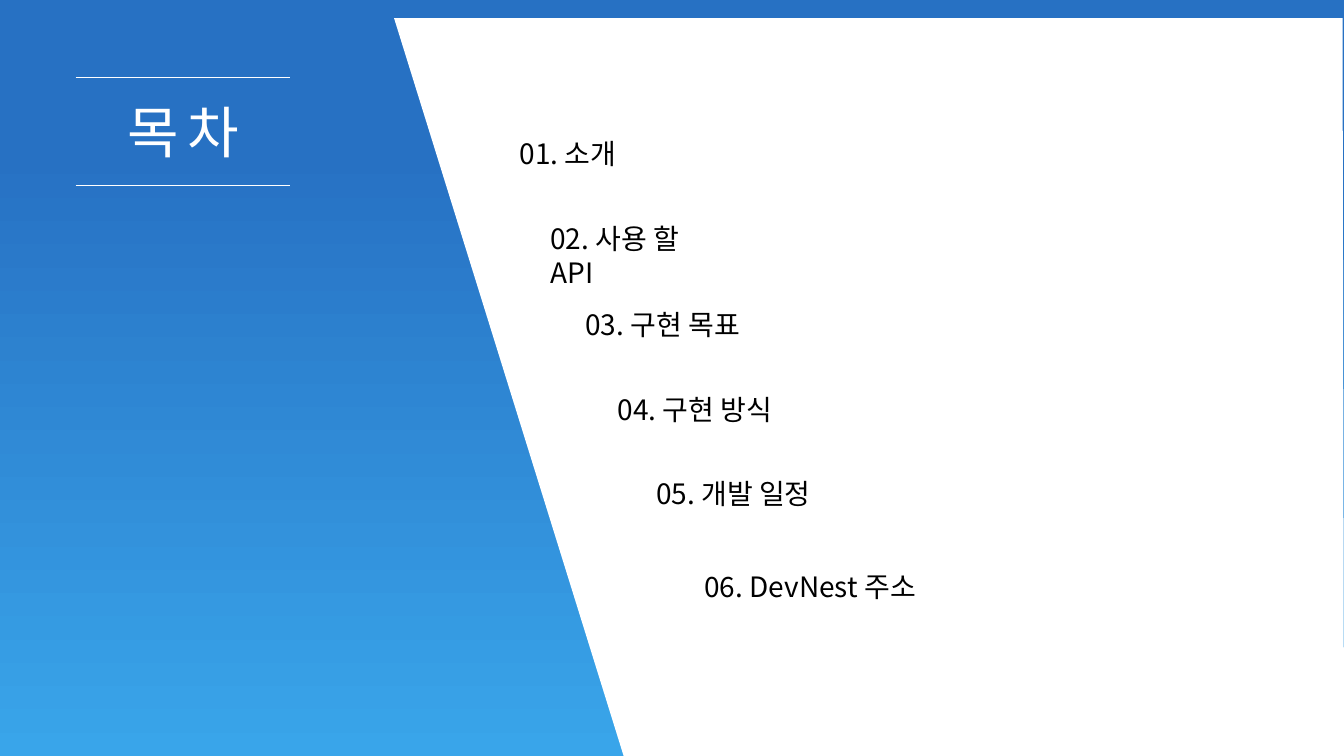
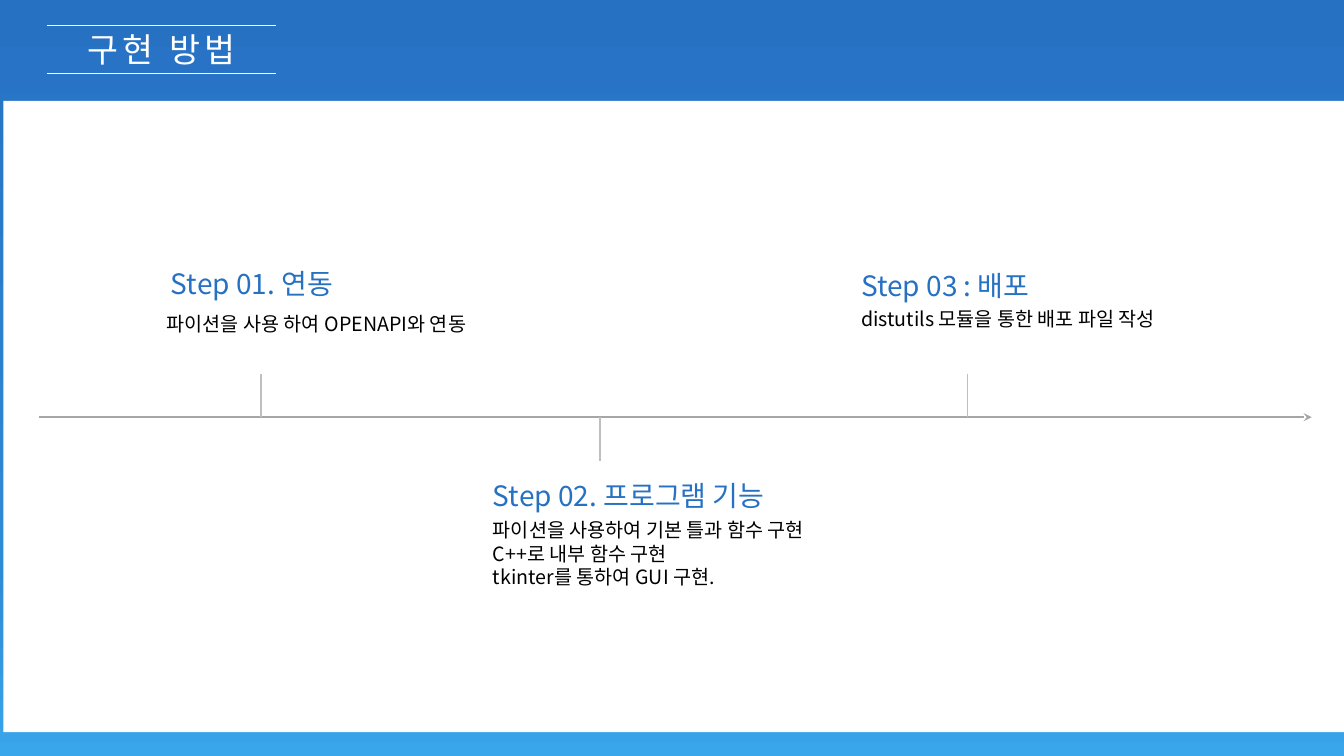
from copy import deepcopy

from lxml import etree
from pptx import Presentation
from pptx.dml.color import RGBColor
from pptx.enum import shapes, text
from pptx.oxml import ns
from pptx.util import Pt

WIDTH, HEIGHT = 960, 540
FONT = "Noto Sans CJK KR"
COLORS = {
    "deep": "2771C3",
    "middle": "2F8AD5",
    "light": "39A5EA",
    "white": "FFFFFF",
    "ink": "000000",
    "axis": "A6A6A6",
    "tick": "BFBFBF",
}
AGENDA = [
    ("01. 소개", 364, 94, 300),
    ("02. 사용 할 API", 386, 155, 120),
    ("03. 구현 목표", 411, 216, 300),
    ("04. 구현 방식", 434, 276.5, 300),
    ("05. 개발 일정", 461.5, 337, 300),
    ("06. DevNest 주소", 496, 403, 300),
]
STEPS = [
    {"title": "Step 01. 연동", "at": (115, 187), "shift": (-3, 32.5),
     "tick": 186.5, "above": True,
     "lines": ["파이션을 사용 하여 OPENAPI와 연동"]},
    {"title": "Step 02. 프로그램 기능", "at": (345, 338.5), "shift": (0, 28),
     "tick": 428.5, "above": False,
     "lines": ["파이션을 사용하여 기본 틀과 함수 구현",
               "C++로 내부 함수 구현",
               "tkinter를 통하여 GUI 구현."]},
    {"title": "Step 03 : 배포", "at": (608, 188), "shift": (0, 27.5),
     "tick": 691, "above": True,
     "lines": ["distutils 모듈을 통한 배포 파일 작성"]},
]


def rgb(name):
    """Return the named colour."""
    return RGBColor.from_string(COLORS[name])


def add_page(deck, stops):
    """Add a blank slide with a vertical gradient background."""
    page = deck.slides.add_slide(deck.slide_layouts[6])
    fill = page.background.fill
    fill.gradient()
    fill.gradient_angle = 270
    stop_list = page.element.find(".//" + ns.qn("a:gsLst"))
    for _ in range(len(stops) - len(stop_list)):
        stop_list.append(deepcopy(stop_list[0]))
    for stop, (position, color) in zip(fill.gradient_stops, stops):
        stop.position = position
        stop.color.rgb = rgb(color)
    return page


def add_text(page, box, lines, size, color, spacing=0):
    """Add a left-aligned text box with one paragraph per line."""
    frame = page.shapes.add_textbox(*map(Pt, box)).text_frame
    frame.word_wrap = True
    for index, line in enumerate(lines):
        para = frame.add_paragraph() if index else frame.paragraphs[0]
        span = para.add_run()
        span.text = line
        span.font.size = Pt(size)
        span.font.color.rgb = rgb(color)
        span.font.name = FONT
        properties = span.font._element
        etree.SubElement(properties, ns.qn("a:ea"), typeface=FONT)
        if spacing:
            properties.set("spc", str(spacing * 100))
    return frame


def add_line(page, start, end, color, weight, arrow=False):
    """Draw a straight line, with an arrowhead at its end if asked."""
    line = page.shapes.add_connector(
        shapes.MSO_CONNECTOR.STRAIGHT, *map(Pt, start + end))
    line.line.color.rgb = rgb(color)
    line.line.width = Pt(weight)
    if arrow:
        etree.SubElement(line.line._get_or_add_ln(), ns.qn("a:tailEnd"), type="stealth")
    etree.SubElement(line._element.spPr, ns.qn("a:effectLst"))


def paint_white(panel):
    """Make a shape a plain white panel."""
    panel.shadow.inherit = False
    panel.fill.solid()
    panel.fill.fore_color.rgb = rgb("white")
    panel.line.fill.background()


def add_heading(page, box, title, size, spacing, weight):
    """Centre a white title between two rules at the edges of the box."""
    left, top, width, height = box
    for y in (top, top + height):
        add_line(page, (left, y), (left + width, y), "white", weight)
    frame = add_text(page, box, [title], size, "white", spacing)
    frame.margin_top = frame.margin_bottom = 0
    frame.vertical_anchor = text.MSO_ANCHOR.MIDDLE
    frame.paragraphs[0].alignment = text.PP_ALIGN.CENTER


def add_agenda(deck):
    """Build the contents slide with its slanted panel."""
    page = add_page(deck, [(0, "deep"), (0.2, "deep"), (1, "light")])
    outline = page.shapes.build_freeform(Pt(281.5), Pt(13))
    corners = [(959, 13), (WIDTH, HEIGHT), (445.5, HEIGHT)]
    outline.add_line_segments([(Pt(x), Pt(y)) for x, y in corners])
    paint_white(outline.convert_to_shape())
    add_heading(page, (54, 55.5, 153.5, 77), "목차", 40, 6, 0.75)
    for entry, left, top, width in AGENDA:
        add_text(page, (left, top, width, 32), [entry], 20, "ink")


def add_step(page, step, axis):
    """Place a step's title, description and tick beside the axis."""
    left, top = step["at"]
    right, down = step["shift"]
    add_text(page, (left, top, 300, 32), [step["title"]], 20, "deep")
    add_text(page, (left + right, top + down, 300, 24), step["lines"], 14, "ink")
    reach = -31 if step["above"] else 31
    add_line(page, (step["tick"], axis), (step["tick"], axis + reach), "tick", 1)


def add_timeline(deck):
    """Build the method slide with its three-step timeline."""
    page = add_page(deck, [(0, "deep"), (0.75, "middle"), (1, "light")])
    panel = (2.5, 72, WIDTH - 2.5, 451)
    paint_white(page.shapes.add_shape(shapes.MSO_SHAPE.RECTANGLE, *map(Pt, panel)))
    add_heading(page, (33.5, 18, 163.5, 34.5), "구현 방법", 24, 3, 0.25)
    axis = 298
    add_line(page, (28, axis), (937, axis), "axis", 1, arrow=True)
    for step in STEPS:
        add_step(page, step, axis)


def main():
    """Build and save the deck."""
    deck = Presentation()
    deck.slide_width, deck.slide_height = Pt(WIDTH), Pt(HEIGHT)
    add_agenda(deck)
    add_timeline(deck)
    deck.save("out.pptx")


if __name__ == "__main__":
    main()
